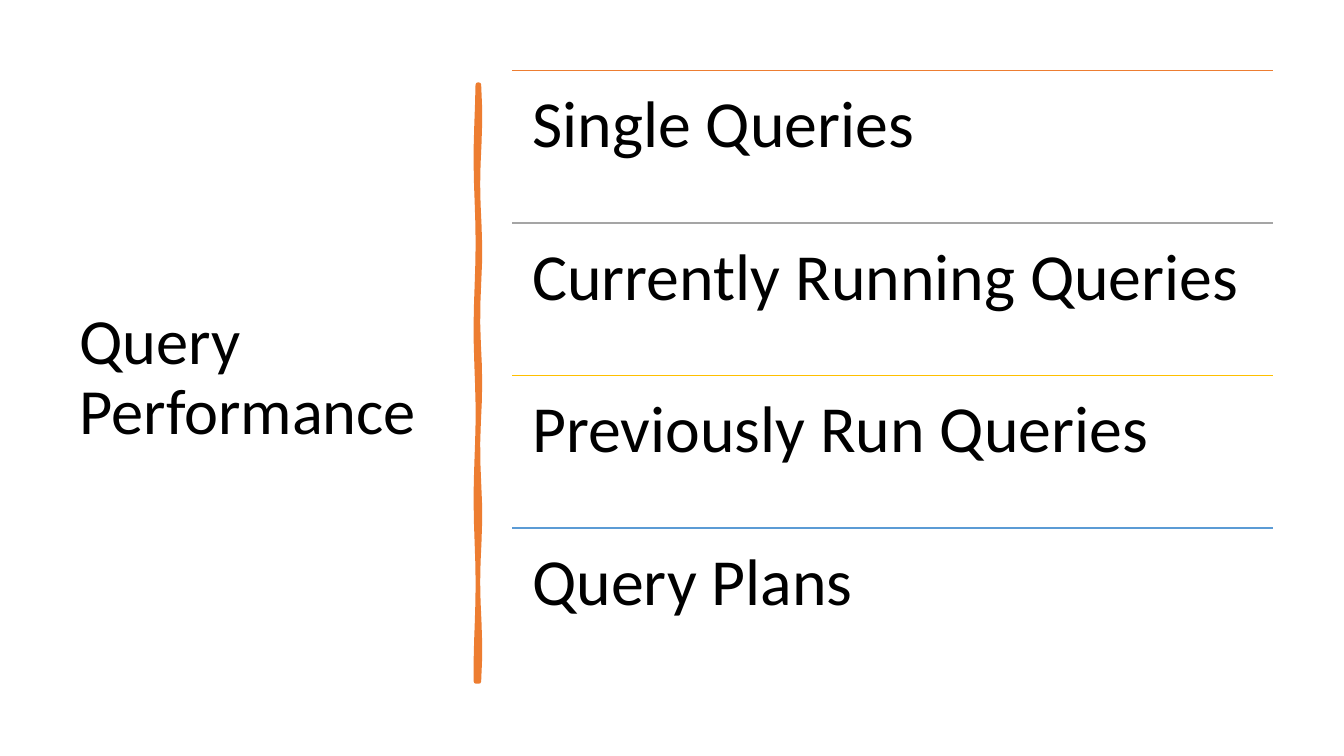
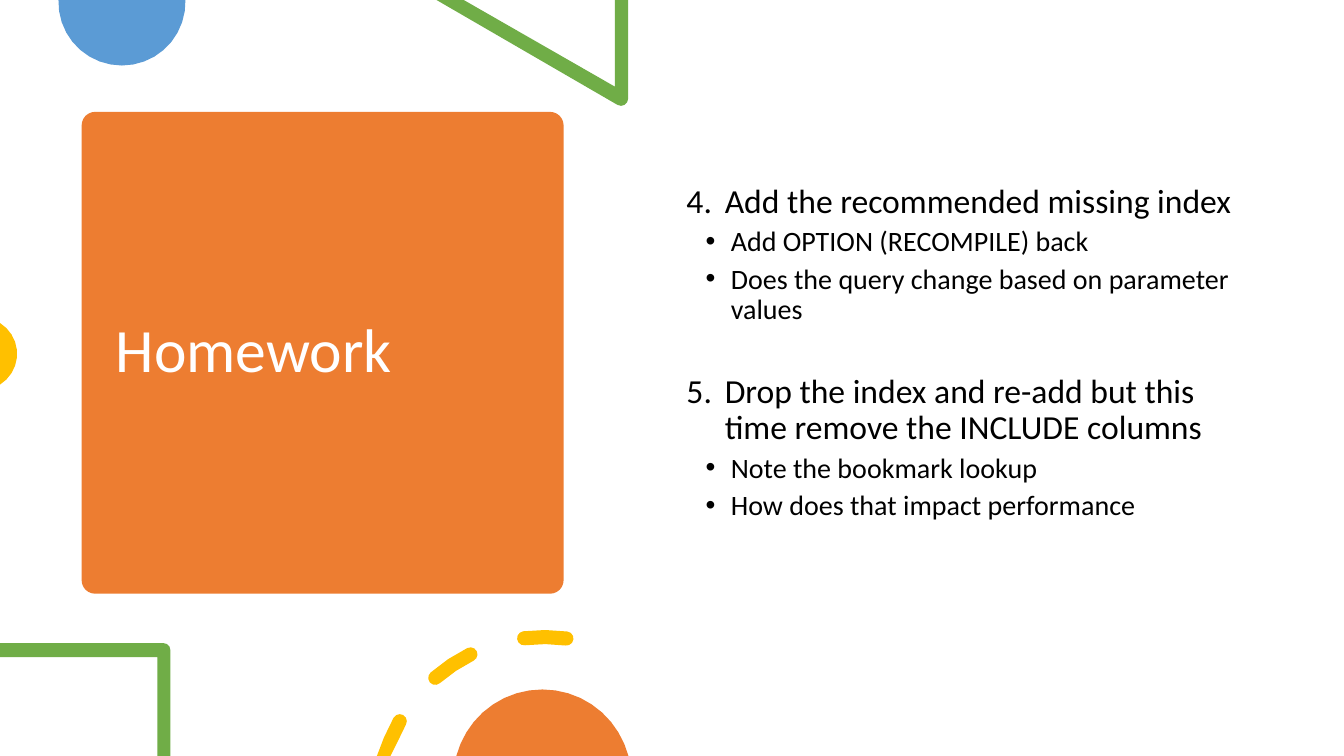
from math import cos, pi, radians, sin, sqrt

from lxml.etree import SubElement as Sub
from pptx import Presentation
from pptx.dml.color import RGBColor as RGB
from pptx.enum.shapes import MSO_CONNECTOR as Link
from pptx.enum.shapes import MSO_SHAPE as Kind
from pptx.enum.text import MSO_ANCHOR as Anchor
from pptx.enum.text import MSO_AUTO_SIZE as Fit
from pptx.enum.text import PP_ALIGN as Align
from pptx.oxml.ns import qn
from pptx.util import Inches, Pt

# The grid: one column or row is one inch
COLS, ROWS = 13.33, 7.5
FONT = "Calibri"
BLACK, WHITE = "000000", "FFFFFF"
ORANGE, GRAY, GOLD = "ED7D31", "A5A5A5", "FFC000"
BLUE, GREEN = "5B9BD5", "70AD47"


def color(code):
    return RGB.from_string(code)


def spot(x, y, r, turn):
    return x + r * cos(radians(turn)), y + r * sin(radians(turn))


def arc(x, y, r, start, end):
    """Points along an arc, clockwise, closer together on a wide one."""
    count = max(2, round(abs(end - start) * sqrt(r) / 8))
    return [spot(x, y, r, start + (end - start) * i / count)
            for i in range(count + 1)]


def dash(x, y, r, start, end, wide):
    """Outline of a curved dash with round ends."""
    half = wide / 2
    return (arc(x, y, r + half, start, end)
            + arc(*spot(x, y, r, end), half, end, end + 180)
            + arc(x, y, r - half, end, start)
            + arc(*spot(x, y, r, start), half, start + 180, start + 360))


class Deck:
    def __init__(self):
        self.prs = Presentation()
        self.prs.slide_width = Inches(COLS)
        self.prs.slide_height = Inches(ROWS)
        self.slide = None

    def new(self):
        self.slide = self.prs.slides.add_slide(self.prs.slide_layouts[5])

    def style(self, para, size, code):
        para.alignment = Align.LEFT
        para.line_spacing = 0.9
        for run in para.runs:
            font = run.font
            font.name, font.size = FONT, Pt(size)
            font.color.rgb = color(code)

    def paint(self, shape, code, line=0):
        shape.shadow.inherit = False
        shape.fill.solid()
        shape.fill.fore_color.rgb = color(code)
        if line:
            shape.line.color.rgb = color(code)
            shape.line.width = Pt(line)
        else:
            shape.line.fill.background()

    def title(self, text, x, y, w, h, size, code=BLACK):
        shape = self.slide.shapes.title
        shape.left, shape.top, shape.width, shape.height = map(Inches, (x, y, w, h))
        frame = shape.text_frame
        frame.text = text
        frame.word_wrap, frame.auto_size = True, Fit.NONE
        frame.vertical_anchor = Anchor.MIDDLE
        self.style(frame.paragraphs[0], size, code)
        # Bring the title in front of what is already drawn
        shape.element.getparent().append(shape.element)

    def box(self, x, y, w, h, pad=None):
        frame = self.slide.shapes.add_textbox(*map(Inches, (x, y, w, h))).text_frame
        frame.word_wrap = True
        if pad is not None:
            frame.margin_left = frame.margin_right = Inches(pad)
            frame.margin_top = frame.margin_bottom = Inches(pad)
        return frame

    def label(self, text, x, y, w, h, size):
        frame = self.box(x, y, w, h, 0.2)
        frame.text = text
        self.style(frame.paragraphs[0], size, BLACK)

    def rule(self, x, y, w, code):
        ends = map(Inches, (x, y, x + w, y))
        line = self.slide.shapes.add_connector(Link.STRAIGHT, *ends)
        line.line.color.rgb = color(code)
        line.line.width = Pt(1)
        Sub(line.element.spPr, qn("a:effectLst"))

    def card(self, x, y, w, h, code, round_by):
        shape = self.slide.shapes.add_shape(
            Kind.ROUNDED_RECTANGLE, *map(Inches, (x, y, w, h)))
        shape.adjustments[0] = round_by
        self.paint(shape, code)

    def form(self, points, code, line=0):
        """Closed outline, held within the slide's edges."""
        spots = [(Inches(min(max(x, 0), COLS)), Inches(min(max(y, 0), ROWS)))
                 for x, y in points]
        pen = self.slide.shapes.build_freeform(*spots[0], scale=1.0)
        pen.add_line_segments(spots[1:], close=True)
        self.paint(pen.convert_to_shape(), code, line)

    def steps(self, groups, first, x, y, w, h):
        """Numbered steps, each with bulleted notes."""
        frame = self.box(x, y, w, h)
        para = frame.paragraphs[0]
        for num, (head, notes) in enumerate(groups, first):
            if num > first:
                para = frame.add_paragraph()
            gap = 10 if num == first else 35
            self.item(para, head, 24, gap, 0.69, -0.38, num)
            for note in notes:
                self.item(frame.add_paragraph(), note, 20, 5, 0.75, -0.25)

    def item(self, para, text, size, gap, left, hang, num=None):
        para.text = text
        para.space_before = Pt(gap)
        self.style(para, size, BLACK)
        props = para._p.get_or_add_pPr()
        props.set("marL", str(Inches(left)))
        props.set("indent", str(Inches(hang)))
        if num is None:
            Sub(props, qn("a:buFont"), typeface="Arial")
            Sub(props, qn("a:buChar"), char="•")
        else:
            Sub(props, qn("a:buFont"), typeface="+mj-lt")
            Sub(props, qn("a:buAutoNum"), type="arabicPeriod", startAt=str(num))


def topics(deck):
    deck.new()
    deck.title("Query Performance", 0.69, 0.7, 3.74, 6.11, 46)

    # Brush stroke: two edges that waver apart
    top, tall, count = 0.84, 5.92, 30
    parts = [i / count for i in range(count + 1)]
    right = [(4.75 + 0.01 * sin(9 * pi * t), top + tall * t) for t in parts]
    left = [(4.73 + 0.01 * sin(7 * pi * t + 2), top + tall * t) for t in parts]
    deck.form(right + left[::-1], ORANGE, 3.25)

    # Ruled list
    x, y, w, h = 5.08, 0.7, 7.55, 1.513
    rows = [("Single Queries", ORANGE), ("Currently Running Queries", GRAY),
            ("Previously Run Queries", GOLD), ("Query Plans", BLUE)]
    for i, (text, code) in enumerate(rows):
        deck.rule(x, y + i * h, w, code)
        deck.label(text, x, y + i * h, w, h, 47)


def homework(deck):
    deck.new()
    deck.card(0.81, 1.11, 4.78, 4.78, ORANGE, 0.028)
    deck.title("Homework", 1.05, 1.22, 4.31, 4.56, 44, WHITE)

    # Discs cut by the edges
    for x, y, r, start, end, code in [(1.21, 0.02, 0.63, -2, 182, BLUE),
                                      (-0.19, 3.51, 0.36, -58, 58, GOLD),
                                      (5.38, 7.72, 0.88, 194, 346, ORANGE)]:
        deck.form(arc(x, y, r, start, end), code)

    # Green outlines with a rounded corner
    deck.form([(6.23, 0), *arc(6.16, 0.98, 0.07, 0, 120), (4.33, 0),
               (4.6, 0), (6.1, 0.86), (6.1, 0)], GREEN)
    deck.form([(0, 6.38), *arc(1.62, 6.45, 0.07, 270, 360), (1.69, ROWS),
               (1.56, ROWS), (1.56, 6.52), (0, 6.52)], GREEN)

    # Dashed ring
    for start in range(195, 264, 34):
        deck.form(dash(5.4, 7.97, 1.65, start, start + 14.6, 0.14), GOLD)

    # Steps
    deck.steps([
        ("Add the recommended missing index",
         ["Add OPTION (RECOMPILE) back",
          "Does the query change based on parameter values"]),
        ("Drop the index and re-add but this time remove the INCLUDE columns",
         ["Note the bookmark lookup", "How does that impact performance"]),
    ], 4, 6.4, 1.78, 6.02, 4.46)


def main():
    deck = Deck()
    topics(deck)
    homework(deck)
    deck.prs.save("out.pptx")


if __name__ == "__main__":
    main()
